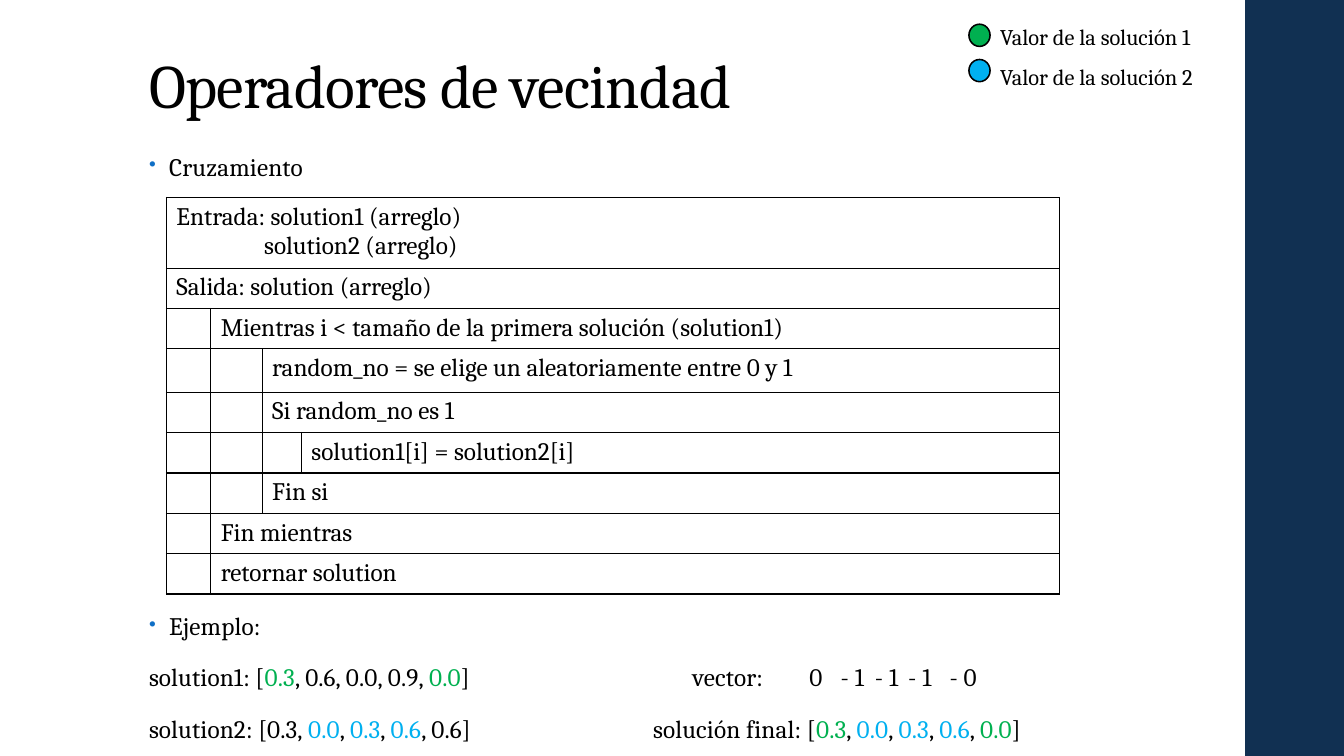
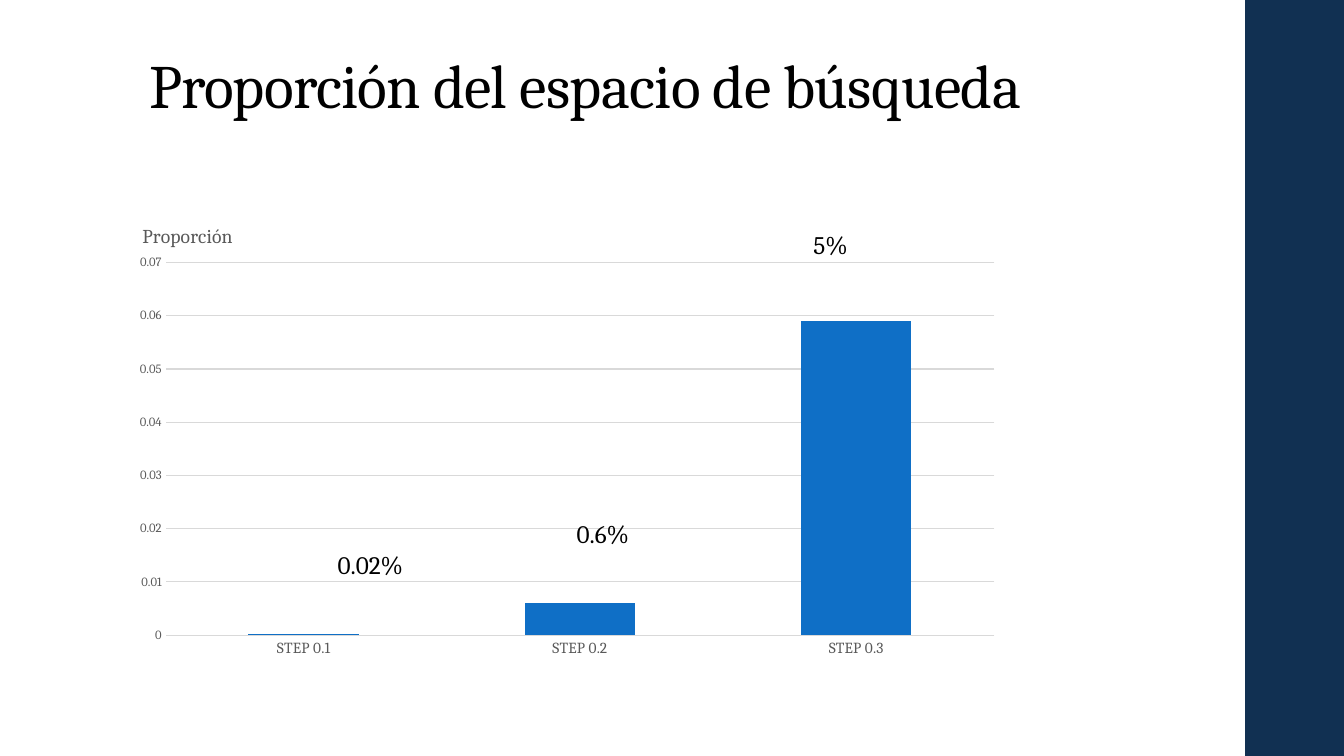
from pptx import Presentation
from pptx.chart.data import CategoryChartData
from pptx.dml.color import RGBColor
from pptx.enum.chart import XL_CHART_TYPE, XL_TICK_MARK
from pptx.enum.shapes import MSO_SHAPE
from pptx.enum.text import MSO_ANCHOR, MSO_AUTO_SIZE, PP_ALIGN
from pptx.oxml import parse_xml
from pptx.oxml.ns import nsdecls, qn
from pptx.oxml.xmlchemy import OxmlElement
from pptx.util import Emu, Pt

RECTANGLE, OVAL = MSO_SHAPE.RECTANGLE, MSO_SHAPE.OVAL
COLUMNS = XL_CHART_TYPE.COLUMN_CLUSTERED
NO_TICK = XL_TICK_MARK.NONE
BOTTOM = MSO_ANCHOR.BOTTOM
LEFT = PP_ALIGN.LEFT
NO_AUTOFIT = MSO_AUTO_SIZE.NONE

EMU_PER_PX = 9144  # 100 px to the inch
TITLE_ONLY = 5
FONT = "Cambria"
BLACK, GRAY, GRID = "000000", "595959", "D9D9D9"
NAVY, BLUE = "113052", "0F6FC6"
GREEN, SKY = "00B050", "00B0F0"


def px(length):
    return Emu(length * EMU_PER_PX)


def rgb(color):
    return RGBColor.from_string(color)


def box(*lengths):
    return [px(length) for length in lengths]


def style_font(font, size, color=BLACK):
    font.name, font.size, font.bold = FONT, Pt(size), False
    font.color.rgb = rgb(color)


def set_chart_layout(parent, position, **fractions):
    """Place a chart part by fractions of the chart's size."""
    layout = parent.find(qn("c:layout"))
    if layout is None:
        layout = OxmlElement("c:layout")
        parent.insert(position, layout)
    inner = '<c:layoutTarget val="inner"/>' if "w" in fractions else ""
    modes = "".join(f'<c:{key}Mode val="edge"/>' for key in "xy")
    values = "".join(f'<c:{key} val="{value}"/>' for key, value in fractions.items())
    layout.append(parse_xml(
        f'<c:manualLayout {nsdecls("c")}>{inner}{modes}{values}</c:manualLayout>'))


def set_borders(cell):
    properties = cell._tc.get_or_add_tcPr()
    for position, side in enumerate(("lnL", "lnR", "lnT", "lnB")):
        properties.insert(position, parse_xml(
            f'<a:{side} {nsdecls("a")} w="12700"><a:solidFill>'
            f'<a:srgbClr val="{BLACK}"/></a:solidFill></a:{side}>'))


def add_bullet(paragraph):
    properties = paragraph._p.get_or_add_pPr()
    properties.set("marL", str(px(20)))
    properties.set("indent", str(px(-20)))
    for xml in (f'<a:buClr {nsdecls("a")}><a:srgbClr val="{BLUE}"/></a:buClr>',
                f'<a:buSzPct {nsdecls("a")} val="80000"/>',
                f'<a:buChar {nsdecls("a")} char="•"/>'):
        properties.append(parse_xml(xml))


def add_tab_stops(paragraph, positions):
    stops = "".join(f'<a:tab pos="{px(position)}" algn="l"/>' for position in positions)
    paragraph._p.get_or_add_pPr().append(
        parse_xml(f'<a:tabLst {nsdecls("a")}>{stops}</a:tabLst>'))


def vector_runs(label, values):
    """Coloured runs for a label followed by a bracketed list."""
    runs = [(f"{label}: [", BLACK)]
    for position, (value, color) in enumerate(values):
        if position:
            runs.append((", ", BLACK))
        runs.append((value, color))
    return runs + [("]", BLACK)]


class Deck:
    def __init__(self):
        self.presentation = Presentation()
        self.presentation.slide_width, self.presentation.slide_height = box(1333, 750)
        self.layout = self.presentation.slide_layouts[TITLE_ONLY]
        self.slide = None

    def add_slide(self, title):
        is_first = len(self.presentation.slides) == 0
        self.slide = self.presentation.slides.add_slide(self.layout)
        if is_first:
            self.add_layout_band()
        shape = self.slide.shapes.title
        shape.left, shape.top, shape.width, shape.height = box(138, 39, 1060, 87)
        frame = shape.text_frame
        frame.text = title
        frame.auto_size, frame.vertical_anchor = NO_AUTOFIT, BOTTOM
        paragraph = frame.paragraphs[0]
        paragraph.alignment, paragraph.line_spacing = LEFT, 0.9
        self.format_runs(paragraph, 44, spacing=-50)

    def add_layout_band(self):
        """Draw the side band and move it to the layout all slides use."""
        band = self.add_shape(RECTANGLE, (1235, 0, 100, 750), NAVY)
        band.element.nvSpPr.cNvPr.set("id", "90")
        self.layout.shapes.element.insert(2, band.element)

    def format_runs(self, paragraph, size, spacing=None):
        for run in paragraph.runs:
            style_font(run.font, size)
            if spacing is not None:
                run._r.get_or_add_rPr().set("spc", str(spacing))

    def add_shape(self, kind, place, fill, line=None):
        shape = self.slide.shapes.add_shape(kind, *box(*place))
        shape.shadow.inherit = False
        shape.fill.solid()
        shape.fill.fore_color.rgb = rgb(fill)
        if line:
            shape.line.color.rgb = rgb(line)
            shape.line.width = Pt(1.1)
        else:
            shape.line.fill.background()
        return shape

    def add_text(self, place, lines, size=18, spacing=None):
        """Add one paragraph per line; a line is a string or coloured runs."""
        frame = self.slide.shapes.add_textbox(*box(*place)).text_frame
        frame.word_wrap = True
        for position, line in enumerate(lines):
            paragraph = frame.add_paragraph() if position else frame.paragraphs[0]
            if isinstance(line, str):
                paragraph.text = line
                self.format_runs(paragraph, size, spacing)
                continue
            for text, color in line:
                run = paragraph.add_run()
                run.text = text
                style_font(run.font, size, color)
                run._r.get_or_add_rPr().set("spc", str(spacing or 0))
        return frame

    def add_body(self, place, lines):
        """Add body text whose first line is a bullet."""
        frame = self.add_text(place, lines, spacing=10)
        for paragraph in frame.paragraphs:
            paragraph.line_spacing = 0.95
            paragraph.space_before, paragraph.space_after = Pt(14), Pt(2)
        frame.paragraphs[0].space_before = Pt(0)
        add_bullet(frame.paragraphs[0])
        return frame

    def add_indented_table(self, place, widths, heights, rows):
        """Each row is (indent level, text); its text cell spans to the right edge."""
        table = self.slide.shapes.add_table(len(rows), len(widths), *box(*place)).table
        table.first_row = table.horz_banding = False
        for column, width in zip(table.columns, widths):
            column.width = px(width)
        for row, height in zip(table.rows, heights):
            row.height = px(height)
        for cell in table.iter_cells():
            cell.fill.background()
            set_borders(cell)
        last = len(widths) - 1
        for number, (level, text) in enumerate(rows):
            cell = table.cell(number, level)
            if level < last:
                cell.merge(table.cell(number, last))
            cell.text_frame.text = text
            for paragraph in cell.text_frame.paragraphs:
                self.format_runs(paragraph, 18)
        return table

    def add_column_chart(self, place, name, categories, values):
        data = CategoryChartData()
        data.categories = categories
        data.add_series(name, values)
        chart = self.slide.shapes.add_chart(COLUMNS, *box(*place), data).chart
        style_font(chart.font, 10)
        chart.has_legend = False
        chart.has_title = True
        title = chart.chart_title
        title.include_in_layout = False
        title.text_frame.text = name
        style_font(title.text_frame.paragraphs[0].runs[0].font, 14, GRAY)
        plot = chart.plots[0]
        plot.gap_width, plot.vary_by_categories = 150, False
        series_fill = plot.series[0].format.fill
        series_fill.solid()
        series_fill.fore_color.rgb = rgb(BLUE)
        for axis, size in ((chart.category_axis, 11), (chart.value_axis, 9)):
            axis.major_tick_mark = axis.minor_tick_mark = NO_TICK
            axis.format.line.fill.background()
            style_font(axis.tick_labels.font, size, GRAY)
        axis = chart.value_axis
        axis.minimum_scale, axis.maximum_scale, axis.major_unit = 0, 0.07, 0.01
        axis.tick_labels.number_format = "General"
        axis.tick_labels.number_format_is_linked = False
        grid_line = axis.major_gridlines.format.line
        grid_line.color.rgb = rgb(GRID)
        grid_line.width = Pt(0.75)
        set_chart_layout(title._element, 1, x=0.02, y=0.05)
        plot_area = chart.element.find(qn("c:chart")).find(qn("c:plotArea"))
        set_chart_layout(plot_area, 0, x=0.05, y=0.14, w=0.93, h=0.79)


def build_operators(deck):
    deck.add_slide("Operadores de vecindad")
    deck.add_body((138, 147, 940, 40), ["Cruzamiento"])

    rows = [
        (0, "Entrada: solution1 (arreglo)\nsolution2 (arreglo)"),
        (0, "Salida: solution (arreglo)"),
        (1, "Mientras i < tamaño de la primera solución (solution1)"),
        (2, "random_no = se elige un aleatoriamente entre 0 y 1"),
        (2, "Si random_no es 1"),
        (3, "solution1[i] = solution2[i]"),
        (2, "Fin si"),
        (1, "Fin mientras"),
        (1, "retornar solution"),
    ]
    heights = [64, 37, 37, 43] + [37] * 5
    table = deck.add_indented_table((165, 196, 886, sum(heights)),
                                    [44, 51, 39, 752], heights, rows)
    second_input = table.cell(0, 0).text_frame.paragraphs[1]
    second_input._p.get_or_add_pPr().set("marL", str(px(87)))

    first = vector_runs("solution1", [("0.3", GREEN), ("0.6", BLACK), ("0.0", BLACK),
                                      ("0.9", BLACK), ("0.0", GREEN)])
    second = vector_runs("solution2", [("0.3", BLACK), ("0.0", SKY), ("0.3", SKY),
                                       ("0.6", SKY), ("0.6", BLACK)])
    final = vector_runs("\tsolución final", [("0.3", GREEN), ("0.0", SKY), ("0.3", SKY),
                                             ("0.6", SKY), ("0.0", GREEN)])
    choice = [("\tvector:\t0\t- 1\t- 1\t- 1\t- 0", BLACK)]
    example = deck.add_body((138, 603, 940, 147),
                            ["Ejemplo:", first + choice, second + final])
    add_tab_stops(example.paragraphs[1], [539, 655, 686, 720, 753, 794])
    add_tab_stops(example.paragraphs[2], [500])

    for top, color in ((24, GREEN), (59, SKY)):
        deck.add_shape(OVAL, (961, top, 21, 22), color, BLACK)
    legend = deck.add_text((982, 18, 241, 77),
                           [f"Valor de la solución {number}" for number in (1, 2)], 16)
    legend.paragraphs[1].line_spacing = 1.5


def build_proportion(deck):
    deck.add_slide("Proporción del espacio de búsqueda")
    deck.add_column_chart((120, 195, 884, 468), "Proporción",
                          ["STEP 0.1", "STEP 0.2", "STEP 0.3"], [0.0002, 0.006, 0.059])
    for left, top, label in ((562, 509, "0.6%"), (325, 540, "0.02%"), (797, 223, "5%")):
        deck.add_text((left, top, 90, 40), [label])


def main():
    deck = Deck()
    build_operators(deck)
    build_proportion(deck)
    deck.presentation.save("out.pptx")


if __name__ == "__main__":
    main()
